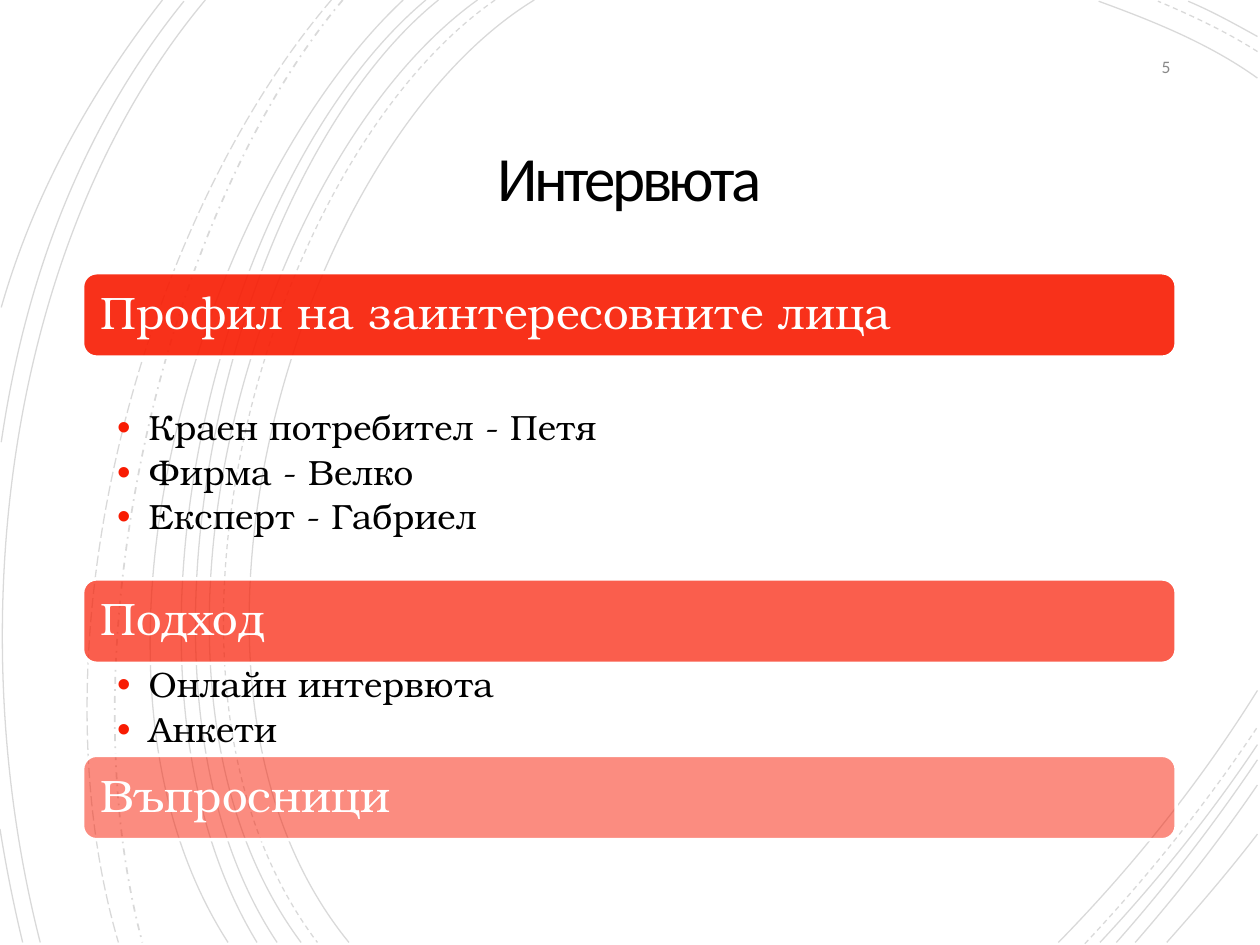
from lxml import etree
from pptx import Presentation
from pptx import util as u
from pptx.dml.color import RGBColor
from pptx.enum import dml, shapes, text
from pptx.oxml import ns

COLORS = {"ink": "000000", "paper": "FFFFFF", "accent": "F81B02", "muted": "888888"}
RGB = {name: RGBColor.from_string(value) for name, value in COLORS.items()}
SERIF = "TeX Gyre Bonum"
SANS = "Calibri"

presentation = Presentation()
presentation.slide_width = u.Inches(10)
presentation.slide_height = u.Inches(7.5)
COLUMN = presentation.slide_width / 100
ROW = presentation.slide_height / 75


def apply(target, values):
    for name, value in values.items():
        setattr(target, name, value)


def box(column, row, columns, rows):
    return {
        "left": round(column * COLUMN),
        "top": round(row * ROW),
        "width": round(columns * COLUMN),
        "height": round(rows * ROW),
    }


slide = presentation.slides.add_slide(presentation.slide_layouts[3])
title, *lists = slide.placeholders
translucent = []

ARCS = {
    dml.MSO_LINE.SOLID: [
        (42.4, 0, 23.6, 11.5, 10.7, 54, 27.7, 74.8),
        (99.8, 6.2, 95.9, 3.4, 91.3, 1.6, 87.2, 0.1),
        (84, 74.8, 89.7, 69, 95.2, 62.2, 99.8, 54.8),
        (37.9, 0, 20.2, 12.7, 8.2, 53.7, 23.9, 74.8),
        (99.8, 2.9, 98, 1.9, 96.2, 0.9, 94.3, 0.1),
        (87.3, 74.8, 91.7, 70.1, 96, 64.8, 99.8, 59.1),
        (34.8, 0, 18.3, 13.3, 8.2, 54.1, 22, 74.8),
        (88.6, 74.8, 92.5, 70.4, 96.3, 65.5, 99.8, 60.3),
        (33.8, 0, 17.3, 13.8, 7.3, 53.3, 20.4, 74.8),
        (90.1, 74.8, 93.5, 70.9, 96.8, 66.7, 99.8, 62.3),
        (32, 0, 16.3, 14.7, 4, 52.9, 18.1, 74.8),
        (92.6, 74.8, 95, 72.1, 97.5, 69.2, 99.8, 66.2),
        (16.3, 0, 0.8, 18.5, -3.4, 49, 3.2, 74.8),
        (14.6, 0.1, 6.9, 9.6, 2.1, 21.4, 0.1, 35.1),
        (0, 65.8, 0.5, 68.9, 1.1, 71.9, 1.8, 74.8),
        (12.9, 0, 7.5, 6.9, 2.8, 15, 0.1, 24.4),
    ],
    dml.MSO_LINE.DASH: [
        (39.3, 0, 21.3, 12.5, 9.2, 53.7, 25.2, 74.8),
        (99.8, 4.1, 97.3, 2.5, 94.5, 1.2, 91.9, 0.1),
        (86.1, 74.9, 90.9, 69.8, 95.6, 64, 99.8, 57.7),
    ],
    dml.MSO_LINE.DASH_DOT: [(27.2, 0, 13.2, 16.6, 4.9, 50.9, 11.3, 74.8)],
    dml.MSO_LINE.LONG_DASH: [(26.3, 0, 11.8, 16.9, 2.1, 49.9, 9.4, 74.8)],
}
STEPS = 40
arcs = slide.shapes.add_group_shape()
slide.shapes._spTree.insert(2, arcs._element)
for dash, curves in ARCS.items():
    for curve in curves:
        points = [(round(x * COLUMN), round(y * ROW)) for x, y in zip(curve[::2], curve[1::2])]
        (x0, y0), (x1, _), (x2, _), (x3, y3) = points
        left = round(min(
            x0 * (1 - t) ** 3 + 3 * x1 * t * (1 - t) ** 2 + 3 * x2 * t ** 2 * (1 - t) + x3 * t ** 3
            for t in (step / STEPS for step in range(STEPS + 1))))
        top = min(y0, y3)
        builder = arcs.shapes.build_freeform(x0, y0)
        builder.add_line_segments([(left, y3), (x3, y3)], close=False)
        arc = builder.convert_to_shape()
        segments = list(arc._element.iter(ns.qn("a:lnTo")))
        outline = segments[0].getparent()
        for segment in segments:
            outline.remove(segment)
        bezier = etree.SubElement(outline, ns.qn("a:cubicBezTo"))
        for x, y in points[1:]:
            etree.SubElement(bezier, ns.qn("a:pt"), x=str(x - left), y=str(y - top))
        arc.shadow.inherit = False
        arc.fill.background()
        arc.line.color.rgb = RGB["ink"]
        width = 1 if dash == dml.MSO_LINE.DASH_DOT else 0.75
        apply(arc.line, {"width": u.Pt(width), "dash_style": dash})
        translucent.append((arc, 15))

inset = u.Inches(0.25)
apply(title, box(14.4, 8.7, 71.1, 11.5))
apply(title.text_frame, {
    "text": "Интервюта",
    "word_wrap": True,
    "auto_size": text.MSO_AUTO_SIZE.NONE,
    "vertical_anchor": text.MSO_ANCHOR.MIDDLE,
    "margin_left": inset, "margin_right": inset,
    "margin_top": inset, "margin_bottom": inset,
})
paragraph = title.text_frame.paragraphs[0]
apply(paragraph, {"alignment": text.PP_ALIGN.CENTER, "line_spacing": 0.85})
run = paragraph.runs[0]
apply(run.font, {"name": SANS, "size": u.Pt(36), "bold": False})
run.font.color.rgb = RGB["ink"]
run.font._element.set("spc", "-200")

number = slide.shapes.add_textbox(**box(91.4, 4.1, 2, 2.4))
inset = u.Inches(0.05)
apply(number.text_frame, {
    "text": "5",
    "word_wrap": False,
    "vertical_anchor": text.MSO_ANCHOR.MIDDLE,
    "margin_left": inset, "margin_right": inset,
    "margin_top": inset, "margin_bottom": inset,
})
paragraph = number.text_frame.paragraphs[0]
paragraph.alignment = text.PP_ALIGN.RIGHT
apply(paragraph.font, {"name": SANS, "size": u.Pt(10)})
paragraph.font.color.rgb = RGB["muted"]

BARS = [
    ("Профил на заинтересовните лица", 21.65, 90),
    ("Подход", 45.95, 70),
    ("Въпросници", 59.95, 50),
]
for heading, row, opacity in BARS:
    bar = slide.shapes.add_shape(
        shapes.MSO_SHAPE.ROUNDED_RECTANGLE, **box(6.55, row, 86.8, 6.7))
    bar.shadow.inherit = False
    bar.fill.solid()
    bar.fill.fore_color.rgb = RGB["accent"]
    bar.line.color.rgb = RGB["paper"]
    bar.line.width = u.Pt(2)
    translucent.append((bar, opacity))
    apply(bar.text_frame, {
        "text": heading,
        "word_wrap": True,
        "vertical_anchor": text.MSO_ANCHOR.MIDDLE,
        "margin_left": u.Inches(0.11), "margin_right": u.Inches(0.11),
    })
    paragraph = bar.text_frame.paragraphs[0]
    apply(paragraph, {"alignment": text.PP_ALIGN.LEFT, "line_spacing": 0.9})
    apply(paragraph.font, {"name": SERIF, "size": u.Pt(26)})
    paragraph.font.color.rgb = RGB["paper"]

LISTS = [
    (["Краен потребител - Петя", "Фирма - Велко", "Експерт - Габриел"], 32.15, 10.8),
    (["Онлайн интервюта", "Анкети"], 52.55, 7.2),
]
inset = u.Inches(0.04)
for body, (items, row, rows) in zip(lists, LISTS):
    apply(body, box(8.9, row, 82.7, rows))
    apply(body.text_frame, {
        "text": "\n".join(items),
        "word_wrap": True,
        "auto_size": text.MSO_AUTO_SIZE.NONE,
        "vertical_anchor": text.MSO_ANCHOR.TOP,
        "margin_left": inset, "margin_right": inset,
        "margin_top": inset, "margin_bottom": inset,
    })
    for paragraph in body.text_frame.paragraphs:
        apply(paragraph, {"level": 1, "line_spacing": 0.9, "space_before": u.Pt(4)})
        apply(paragraph.font, {"name": SERIF, "size": u.Pt(20)})
        paragraph.font.color.rgb = RGB["ink"]
        properties = paragraph._p.get_or_add_pPr()
        properties.set("marL", str(u.Inches(0.25)))
        properties.set("indent", str(-u.Inches(0.25)))
        bullet = [
            etree.Element(ns.qn("a:buClr")),
            etree.Element(ns.qn("a:buSzPct"), val="110000"),
            etree.Element(ns.qn("a:buFont"), typeface="Arial"),
            etree.Element(ns.qn("a:buChar"), char="•"),
        ]
        etree.SubElement(bullet[0], ns.qn("a:srgbClr"), val=COLORS["accent"])
        defaults = properties.find(ns.qn("a:defRPr"))
        for part in bullet:
            defaults.addprevious(part)

for shape, percent in translucent:
    color = next(shape._element.iter(ns.qn("a:srgbClr")))
    etree.SubElement(color, ns.qn("a:alpha"), val=str(percent * 1000))

presentation.save("out.pptx")
